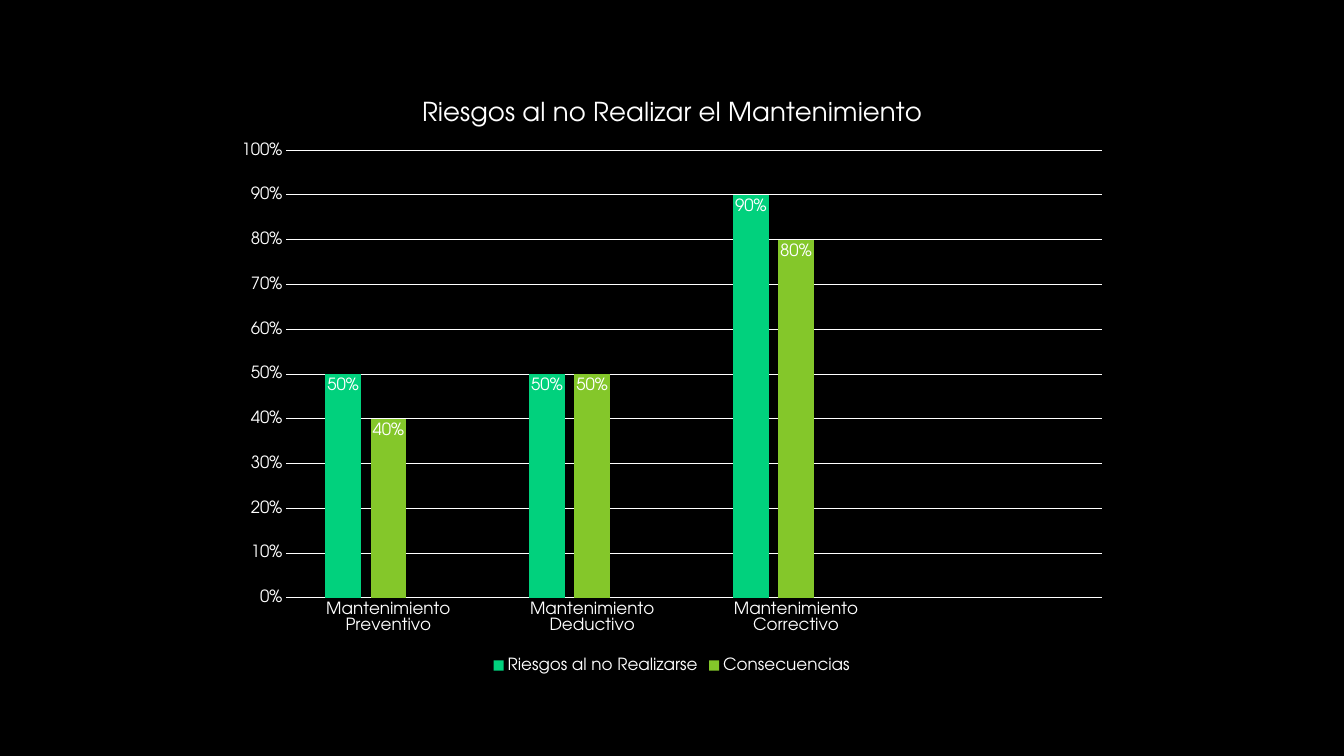
"""Build a slide with a column chart of maintenance risks."""
from pptx import Presentation
from pptx.chart.data import CategoryChartData
from pptx.dml.color import RGBColor
from pptx.enum.chart import XL_CHART_TYPE, XL_LABEL_POSITION, XL_LEGEND_POSITION, XL_TICK_MARK
from pptx.oxml import parse_xml
from pptx.oxml.ns import nsdecls
from pptx.util import Cm, Pt

COLUMN = XL_CHART_TYPE.COLUMN_CLUSTERED
INSIDE = XL_LABEL_POSITION.INSIDE_END
BOTTOM = XL_LEGEND_POSITION.BOTTOM
NO_TICK = XL_TICK_MARK.NONE
FONT = "TeX Gyre Adventor"
COLORS = {"back": "000000", "text": "FFFFFF", "risk": "01D17D", "effect": "84C72A", "spare": "E1D126"}


def style(font, size=12):
    font.name = FONT
    font.size = Pt(size)
    font.bold = False
    font.color.rgb = RGBColor.from_string(COLORS["text"])


def layout(target="", **places):
    inner = f'<c:layoutTarget val="{target}"/>' if target else ""
    modes = "".join(f'<c:{key}Mode val="edge"/>' for key in "xy")
    spots = "".join(f'<c:{key} val="{val}"/>' for key, val in places.items())
    return parse_xml(
        f'<c:layout {nsdecls("c")}><c:manualLayout>{inner}{modes}{spots}</c:manualLayout></c:layout>'
    )


deck = Presentation()
deck.slide_width, deck.slide_height = Cm(33.87), Cm(19.05)
slide = deck.slides.add_slide(deck.slide_layouts[6])
fill = slide.background.fill
fill.solid()
fill.fore_color.rgb = RGBColor.from_string(COLORS["back"])

data = CategoryChartData(number_format="0%")
data.categories = ["Mantenimiento Preventivo", "Mantenimiento Deductivo", "Mantenimiento Correctivo", ""]
data.add_series("Riesgos al no Realizarse", (0.5, 0.5, 0.9, None))
data.add_series("Consecuencias", (0.4, 0.5, 0.8, None))
data.add_series("Series 3", (None,) * 4)
frame = slide.shapes.add_chart(COLUMN, Cm(5.64), Cm(2.01), Cm(22.58), Cm(15.06), data)
chart = frame.chart
style(chart.font, 10)

chart.has_title = True
run = chart.chart_title.text_frame.paragraphs[0].add_run()
run.text = "Riesgos al no Realizar el Mantenimiento"
style(run.font, 18.6)

plot = chart.plots[0]
plot.gap_width = 219
plot.overlap = -27
plot.vary_by_categories = False
for series, color in zip(plot.series, ("risk", "effect", "spare")):
    fill = series.format.fill
    fill.solid()
    fill.fore_color.rgb = RGBColor.from_string(COLORS[color])
    labels = series.data_labels
    labels.show_value = True
    labels.position = INSIDE
    labels.number_format = "0%"
    labels.number_format_is_linked = False
    style(labels.font)

cats, vals = chart.category_axis, chart.value_axis
for axis in (cats, vals):
    axis.major_tick_mark = axis.minor_tick_mark = NO_TICK
    style(axis.tick_labels.font)
vals.minimum_scale, vals.maximum_scale, vals.major_unit = 0, 1, 0.1
vals.tick_labels.number_format = "0%"
vals.tick_labels.number_format_is_linked = False
vals.format.line.fill.background()
vals.has_major_gridlines = True
for line in (cats.format.line, vals.major_gridlines.format.line):
    line.width = Pt(0.75)
    line.color.rgb = RGBColor.from_string(COLORS["text"])

chart.has_legend = True
legend = chart.legend
legend.position = BOTTOM
legend.include_in_layout = False
style(legend.font)

root = chart.element
for old in root.xpath(".//c:plotArea/c:layout | .//c:chart/c:title/c:layout"):
    old.getparent().remove(old)
root.xpath(".//c:plotArea")[0].insert(0, layout("inner", x=0.07, y=0.118, w=0.91, h=0.749))
root.xpath(".//c:chart/c:title/c:tx")[0].addnext(layout(x=0.216, y=0.025))
root.xpath(".//c:legendPos")[0].addnext(parse_xml(
    f'<c:legendEntry {nsdecls("c")}><c:idx val="2"/><c:delete val="1"/></c:legendEntry>'
))

deck.save("out.pptx")
